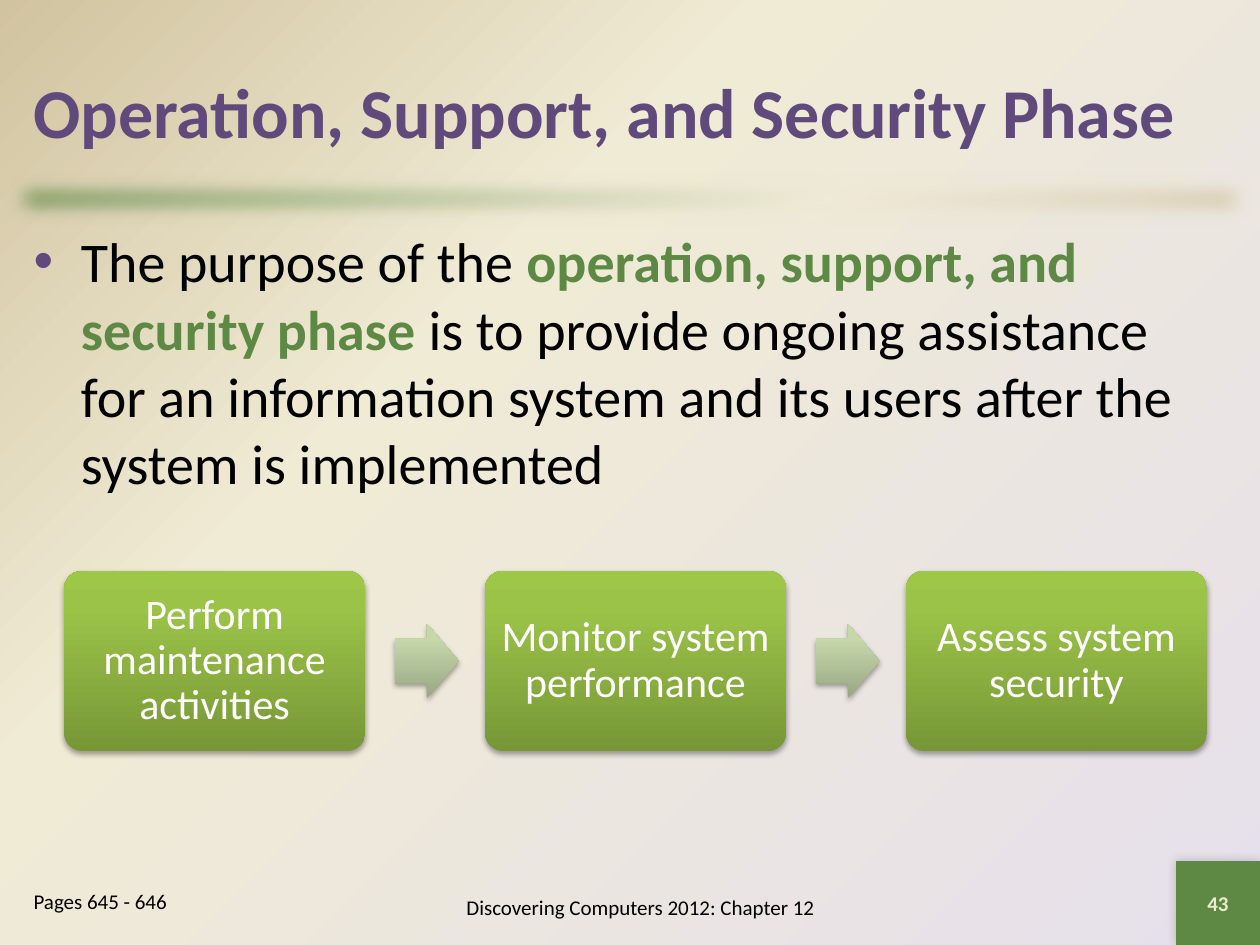
from lxml import etree
from pptx import Presentation
from pptx.dml.color import RGBColor
from pptx.enum.shapes import MSO_SHAPE
from pptx.enum.text import MSO_ANCHOR, MSO_AUTO_SIZE, PP_ALIGN
from pptx.oxml.ns import qn
from pptx.util import Pt

RECT, ROUND, ARROW = MSO_SHAPE.RECTANGLE, MSO_SHAPE.ROUNDED_RECTANGLE, MSO_SHAPE.RIGHT_ARROW
TOP, MIDDLE = MSO_ANCHOR.TOP, MSO_ANCHOR.MIDDLE
LEFT, CENTER = PP_ALIGN.LEFT, PP_ALIGN.CENTER
NO_FIT = MSO_AUTO_SIZE.NONE

BLACK = RGBColor(0x00, 0x00, 0x00)
WHITE = RGBColor(0xFF, 0xFF, 0xFF)
PURPLE = RGBColor(0x60, 0x4A, 0x7B)
GREEN = RGBColor(0x5E, 0x89, 0x45)
CREAM = RGBColor(0xF0, 0xEB, 0xD5)
TAN = RGBColor(0xD1, 0xC3, 0x9F)
LAVENDER = RGBColor(0xE6, 0xE0, 0xEC)
PALE = RGBColor(0xEE, 0xEB, 0xCA)

PAGE_STOPS = [(0, LAVENDER), (65, CREAM), (100, TAN)]
BAR_STOPS = [(0, GREEN), (65, CREAM), (100, TAN)]
STEP_STOPS = [(0, RGBColor(0x77, 0x97, 0x37)), (80, RGBColor(0x9B, 0xC3, 0x48)),
              (100, RGBColor(0x9D, 0xC7, 0x46))]
ARROW_STOPS = [(0, RGBColor(0x98, 0xA6, 0x83)), (80, RGBColor(0xC6, 0xD8, 0xAA)),
               (100, RGBColor(0xC7, 0xDA, 0xAA))]

FONT = "Calibri"
HANGING = Pt(27)
STEPS = ["Perform maintenance activities", "Monitor system performance", "Assess system security"]
STEP_X, STEP_Y, STEP_W, STEP_H, STEP_PITCH = 36.7, 326.2, 172, 103, 240.5
ARROW_W, ARROW_H, ARROW_GAP = 36.5, 42.6, 17


def add_xml(parent, tag, **attrs):
    return etree.SubElement(parent, qn(tag), {k: str(v) for k, v in attrs.items()})


def set_gradient(fill, root, stops, angle=None):
    fill.gradient()
    grad = root.find(".//" + qn("a:gradFill"))
    for child in list(grad):
        grad.remove(child)
    gs_list = add_xml(grad, "a:gsLst")
    for position, color in stops:
        gs = add_xml(gs_list, "a:gs", pos=position * 1000)
        add_xml(gs, "a:srgbClr", val=color)
    if angle is None:
        path = add_xml(grad, "a:path", path="circle")
        add_xml(path, "a:fillToRect", l=100000, t=100000)
        add_xml(grad, "a:tileRect", r=-100000, b=-100000)
    else:
        add_xml(grad, "a:lin", ang=angle * 60000, scaled=0)


def add_effect(sp, tag, **attrs):
    effects = sp._element.spPr.find(qn("a:effectLst"))
    return add_xml(effects, tag, **attrs)


def add_shadow(sp, alpha, blur, distance, angle):
    shadow = add_effect(sp, "a:outerShdw", blurRad=Pt(blur), dist=Pt(distance),
                        dir=angle * 60000, rotWithShape=0)
    color = add_xml(shadow, "a:srgbClr", val=BLACK)
    add_xml(color, "a:alpha", val=alpha * 1000)


def add_box(s, kind, x, y, w, h, stops=None, angle=0, color=None):
    sp = s.shapes.add_shape(kind, Pt(x), Pt(y), Pt(w), Pt(h))
    sp.line.fill.background()
    sp.shadow.inherit = False
    if stops:
        set_gradient(sp.fill, sp._element.spPr, stops, angle)
    else:
        sp.fill.solid()
        sp.fill.fore_color.rgb = color
    return sp


def set_text(sp, *parts, size=12, color=BLACK, bold=False, align=LEFT, anchor=TOP,
             inset=None, spacing=None, hanging=False, bullet=None):
    tf = sp.text_frame
    tf.word_wrap = True
    tf.auto_size = NO_FIT
    tf.vertical_anchor = anchor
    if inset is not None:
        tf.margin_left = tf.margin_right = tf.margin_top = tf.margin_bottom = Pt(inset)
    p = tf.paragraphs[0]
    pPr = p._p.get_or_add_pPr()
    if hanging:
        pPr.set("marL", str(HANGING))
        pPr.set("indent", str(-HANGING))
    if bullet:
        add_xml(add_xml(pPr, "a:buClr"), "a:srgbClr", val=PURPLE)
        add_xml(pPr, "a:buFont", typeface="Arial")
        add_xml(pPr, "a:buChar", char=bullet)
    else:
        add_xml(pPr, "a:buNone")
    p.alignment = align
    p.space_before = Pt(0)
    if spacing:
        p.line_spacing = spacing
    for part in parts:
        text, run_color, run_bold = part if isinstance(part, tuple) else (part, color, bold)
        r = p.add_run()
        r.text = text
        r.font.name = FONT
        r.font.size = Pt(size)
        r.font.bold = run_bold
        r.font.color.rgb = run_color


def place(sp, x, y, w, h):
    sp.left, sp.top, sp.width, sp.height = Pt(x), Pt(y), Pt(w), Pt(h)
    return sp


def add_step(s, x, text):
    box = add_box(s, ROUND, x, STEP_Y, STEP_W, STEP_H, STEP_STOPS, 270)
    box.adjustments[0] = 0.1
    add_shadow(box, 35, 3.1, 1.8, 90)
    set_text(box, text, size=24, color=WHITE, align=CENTER, anchor=MIDDLE, inset=4, spacing=0.9)


def add_arrow(s, x):
    arrow = add_box(s, ARROW, x, STEP_Y + (STEP_H - ARROW_H) / 2, ARROW_W, ARROW_H,
                    ARROW_STOPS, 270)
    arrow.adjustments[0] = 0.6
    arrow.adjustments[1] = 0.5
    add_shadow(arrow, 35, 3.1, 1.8, 90)


def add_process(s):
    for i, text in enumerate(STEPS):
        x = STEP_X + i * STEP_PITCH
        add_step(s, x, text)
        if i < len(STEPS) - 1:
            add_arrow(s, x + STEP_W + ARROW_GAP)


def main():
    prs = Presentation()
    prs.slide_width, prs.slide_height = Pt(720), Pt(540)
    s = prs.slides.add_slide(prs.slide_layouts[3])
    set_gradient(s.background.fill, s.element, PAGE_STOPS)

    title = place(s.shapes.title, 12, 12, 696, 102)
    set_text(title, "Operation, Support, and Security Phase",
             size=40, color=PURPLE, bold=True, anchor=MIDDLE)
    body = place(s.placeholders[1], 12, 126, 696, 366)
    set_text(body, "The purpose of the ",
             ("operation, support, and security phase", GREEN, True),
             " is to provide ongoing assistance for an information system"
             " and its users after the system is implemented",
             size=32, hanging=True, bullet="•")
    pages = place(s.placeholders[2], 12, 504, 132, 36)
    set_text(pages, "Pages 645 - 646", hanging=True)

    bar = add_box(s, RECT, 0, 96, 720, 36, BAR_STOPS, 45)
    add_effect(bar, "a:softEdge", rad=Pt(12.5))
    number = add_box(s, RECT, 672, 492, 48, 48, color=GREEN)
    add_shadow(number, 20, 6, 0, 225)
    set_text(number, "43", color=PALE, bold=True, align=CENTER, anchor=MIDDLE)
    footer = s.shapes.add_textbox(Pt(216), Pt(500.5), Pt(300), Pt(36))
    set_text(footer, "Discovering Computers 2012: Chapter 12", align=CENTER, anchor=MIDDLE)

    add_process(s)
    prs.save("out.pptx")


if __name__ == "__main__":
    main()
